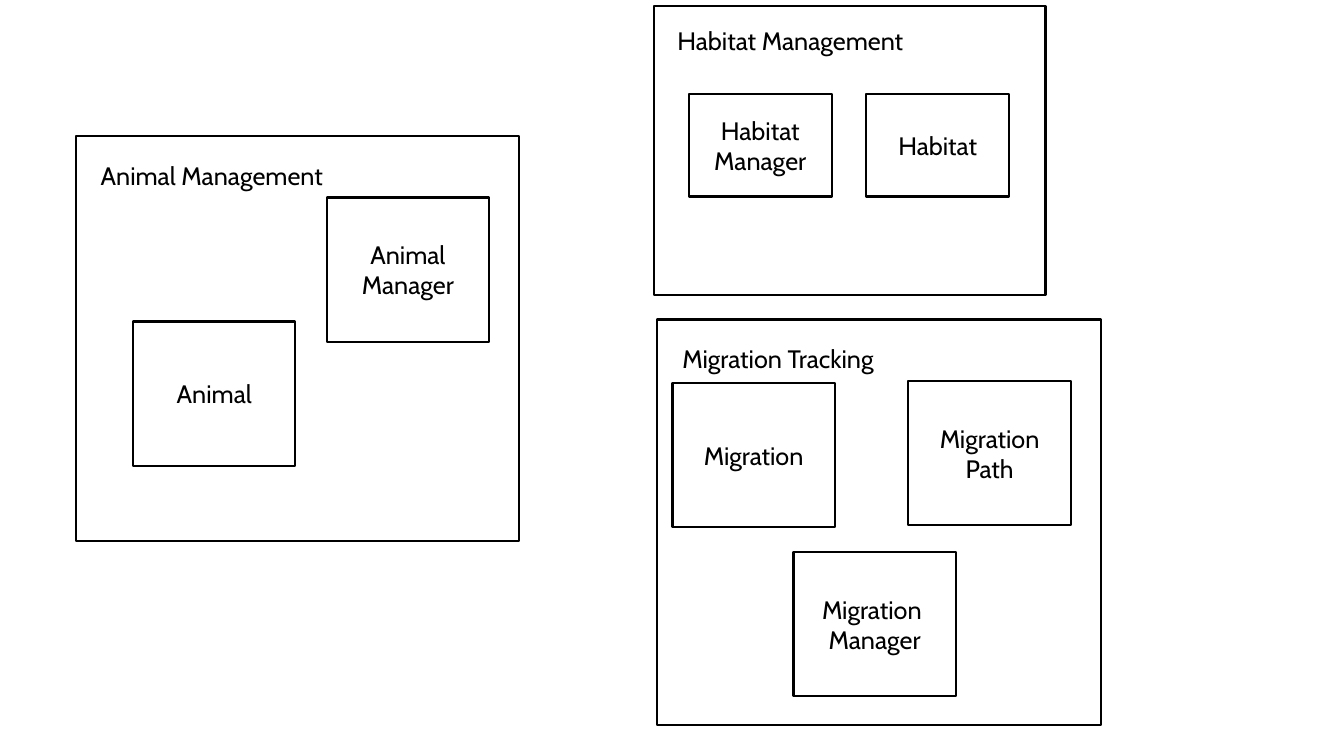
from dataclasses import dataclass

from pptx import Presentation, util as u
from pptx.dml.color import RGBColor
from pptx.enum import shapes, text

PX = 9144
COLORS = {"ink": "000000"}
FONT = "Cabin"


@dataclass(frozen=True)
class Box:
    left: int
    top: int
    width: int
    height: int


@dataclass(frozen=True)
class Entity:
    label: str
    left: int
    top: int


@dataclass(frozen=True)
class Domain:
    title: str
    frame: Box
    title_box: Box
    entity_width: int
    entity_height: int
    entities: tuple[Entity, ...]


DOMAINS = (
    Domain("Habitat Management", Box(649, 6, 388, 287), Box(662, 20, 250, 40), 142, 102, (
        Entity("Habitat Manager", 683, 93),
        Entity("Habitat", 859, 93),
    )),
    Domain("Animal Management", Box(75, 135, 440, 402), Box(90, 154, 245, 40), 161, 143, (
        Entity("Animal Manager", 324, 196),
        Entity("Animal", 132, 319),
    )),
    Domain("Migration Tracking", Box(652, 317, 440, 402), Box(667, 336, 216, 40), 161, 143, (
        Entity("Migration", 667, 380),
        Entity("Migration Path", 901, 378),
        Entity("Migration  Manager", 787, 548),
    )),
)


def emu(box: Box) -> tuple[int, int, int, int]:
    return box.left * PX, box.top * PX, box.width * PX, box.height * PX


def write(paragraph, wording: str) -> None:
    run = paragraph.add_run()
    run.text = wording
    run.font.name = FONT
    run.font.size = u.Pt(18)
    run.font.color.rgb = RGBColor.from_string(COLORS["ink"])


def draw_outline(group, box: Box):
    outline = group.shapes.add_shape(shapes.MSO_SHAPE.RECTANGLE, *emu(box))
    outline.shadow.inherit = False
    outline.fill.background()
    outline.line.color.rgb = RGBColor.from_string(COLORS["ink"])
    outline.line.width = u.Pt(1.5)
    return outline


def draw_title(group, domain: Domain) -> None:
    title = group.shapes.add_textbox(*emu(domain.title_box))
    title.text_frame.word_wrap = False
    title.text_frame.auto_size = text.MSO_AUTO_SIZE.SHAPE_TO_FIT_TEXT
    write(title.text_frame.paragraphs[0], domain.title)


def draw_entity(group, entity: Entity, width: int, height: int) -> None:
    frame = draw_outline(group, Box(entity.left, entity.top, width, height)).text_frame
    frame.word_wrap = True
    frame.vertical_anchor = text.MSO_ANCHOR.MIDDLE
    frame.paragraphs[0].alignment = text.PP_ALIGN.CENTER
    write(frame.paragraphs[0], entity.label)


def draw_domain(slide, domain: Domain) -> None:
    group = slide.shapes.add_group_shape()
    draw_outline(group, domain.frame)
    draw_title(group, domain)
    for entity in domain.entities:
        draw_entity(group, entity, domain.entity_width, domain.entity_height)


def main() -> None:
    deck = Presentation()
    deck.slide_width = 1333 * PX
    deck.slide_height = 750 * PX
    slide = deck.slides.add_slide(deck.slide_layouts[6])
    for domain in DOMAINS:
        draw_domain(slide, domain)
    deck.save("out.pptx")


if __name__ == "__main__":
    main()
